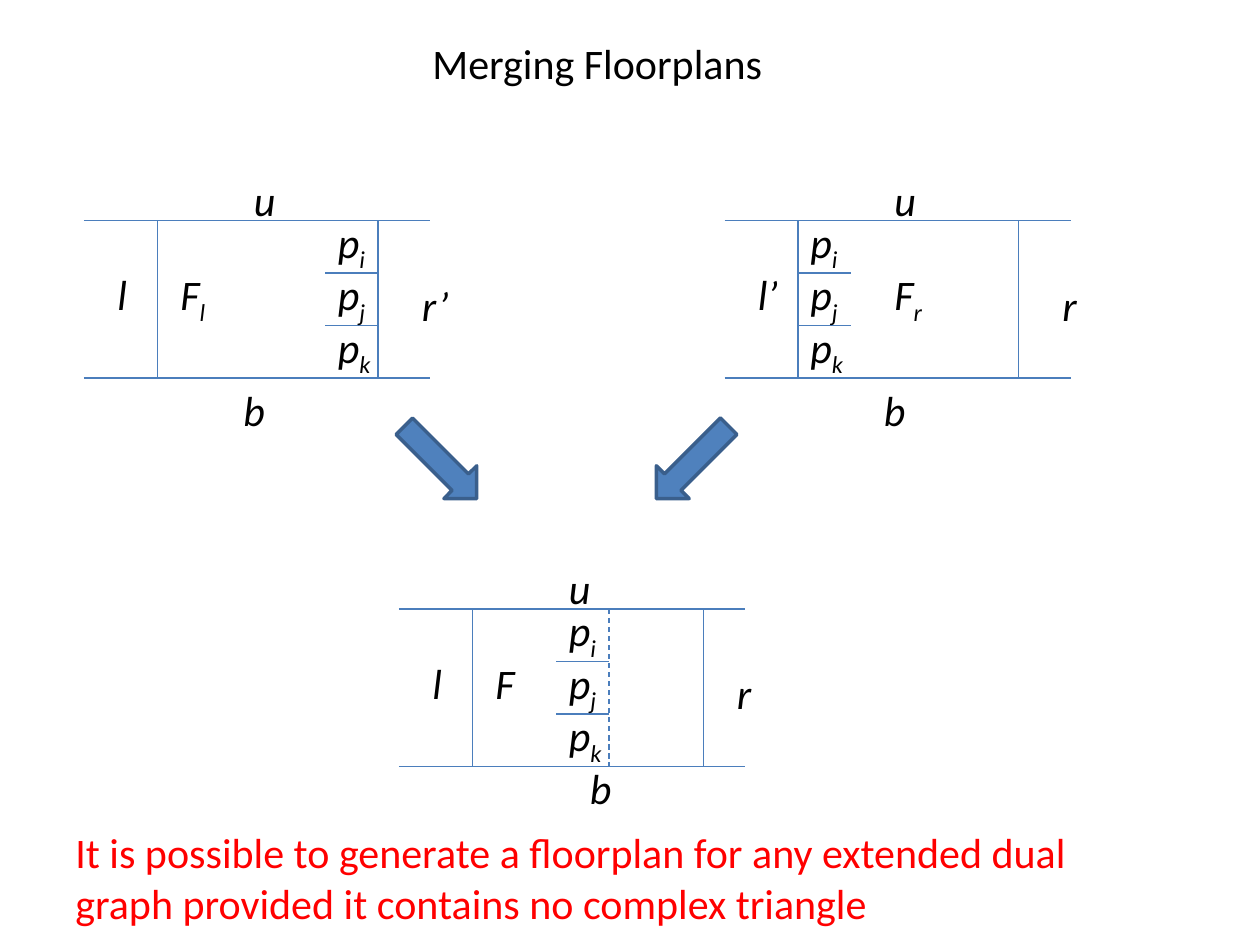
from dataclasses import dataclass

from lxml import etree
from pptx import Presentation
from pptx.dml.color import RGBColor
from pptx.enum.dml import MSO_LINE
from pptx.enum.shapes import MSO_CONNECTOR, MSO_SHAPE
from pptx.enum.text import MSO_AUTO_SIZE
from pptx.oxml.ns import qn
from pptx.util import Pt

STRAIGHT = MSO_CONNECTOR.STRAIGHT
DASH = MSO_LINE.DASH
DOWN_ARROW = MSO_SHAPE.DOWN_ARROW
FIT_TEXT = MSO_AUTO_SIZE.SHAPE_TO_FIT_TEXT


@dataclass(frozen=True)
class Theme:
    font: str = "Calibri"
    size: float = 24
    text: RGBColor = RGBColor(0, 0, 0)
    emphasis: RGBColor = RGBColor(0xFF, 0, 0)
    line: RGBColor = RGBColor(0x4B, 0x7E, 0xBC)
    arrow_fill: RGBColor = RGBColor(0x4F, 0x81, 0xBD)
    arrow_line: RGBColor = RGBColor(0x3A, 0x5F, 0x8C)
    line_width: float = 0.75
    arrow_line_width: float = 2


@dataclass(frozen=True)
class Floorplan:
    left: float
    top: float
    room: tuple
    room_left: float
    left_label: str
    right_label: str
    right_wall: float
    steps_left: float
    bottom_label: tuple
    seam: float | None = None


THEME = Theme()
RAIL_LENGTH = 198
PLAN_HEIGHT = 90
STEP = 30
LEFT_WALL = 42
LABEL_WIDTH = 42
LABEL_HEIGHT = 36

FLOORPLANS = (
    Floorplan(48, 126, ("F", "l"), 48, "l", "r’", 168, 138, (84, 90)),
    Floorplan(414, 126, ("F", "r"), 90, "l’", "r", 168, 42, (84, 90)),
    Floorplan(228, 348, ("F", ""), 48, "l", "r", 174, 90, (102, 84), seam=120),
)


def add_text(slide, left, top, width, height, text, subscript="",
             color=THEME.text, italic=False):
    box = slide.shapes.add_textbox(Pt(left), Pt(top), Pt(width), Pt(height))
    frame = box.text_frame
    frame.word_wrap = True
    frame.auto_size = FIT_TEXT
    paragraph = frame.paragraphs[0]
    paragraph.font.name = THEME.font
    paragraph.font.size = Pt(THEME.size)
    paragraph.font.color.rgb = color
    paragraph.font.italic = italic
    paragraph.add_run().text = text
    if subscript:
        run = paragraph.add_run()
        run.text = subscript
        run.font._element.set("baseline", "-25000")


def add_line(slide, x1, y1, x2, y2, dash=None):
    connector = slide.shapes.add_connector(STRAIGHT, Pt(x1), Pt(y1), Pt(x2), Pt(y2))
    connector.line.color.rgb = THEME.line
    connector.line.width = Pt(THEME.line_width)
    if dash:
        connector.line.dash_style = dash
    etree.SubElement(connector._element.spPr, qn("a:effectLst"))


def add_arrow(slide, left, rotation):
    shape = slide.shapes.add_shape(DOWN_ARROW, Pt(left), Pt(235), Pt(26.5), Pt(58.5))
    shape.shadow.inherit = False
    shape.rotation = rotation
    shape.fill.solid()
    shape.fill.fore_color.rgb = THEME.arrow_fill
    shape.line.color.rgb = THEME.arrow_line
    shape.line.width = Pt(THEME.arrow_line_width)


def add_floorplan(slide, plan):
    def label(x, y, text, subscript="", width=LABEL_WIDTH):
        add_text(slide, plan.left + x, plan.top + y, width, LABEL_HEIGHT,
                 text, subscript, italic=True)

    def line(x1, y1, x2, y2, dash=None):
        add_line(slide, plan.left + x1, plan.top + y1,
                 plan.left + x2, plan.top + y2, dash)

    for y in (0, PLAN_HEIGHT):
        line(0, y, RAIL_LENGTH, y)
    for x in (LEFT_WALL, plan.right_wall):
        line(x, 0, x, PLAN_HEIGHT)
    if plan.seam is not None:
        line(plan.seam, 0, plan.seam, PLAN_HEIGHT, DASH)
    for y in (STEP, 2 * STEP):
        line(plan.steps_left, y, plan.steps_left + STEP, y)

    label(90, -30, "u")
    label(*plan.bottom_label, "b")
    label(12, 24, plan.left_label)
    label(186, 30, plan.right_label)
    label(plan.room_left, 24, *plan.room, width=48)
    for index, subscript in enumerate("ijk"):
        label(plan.steps_left, index * STEP - 6, "p", subscript)


def main():
    presentation = Presentation()
    presentation.slide_width = Pt(720)
    presentation.slide_height = Pt(540)
    slide = presentation.slides.add_slide(presentation.slide_layouts[6])

    add_text(slide, 240, 18, 228, LABEL_HEIGHT, "Merging Floorplans")
    for plan in FLOORPLANS:
        add_floorplan(slide, plan)
    add_arrow(slide, 238.5, 315)
    add_arrow(slide, 382.5, 45)
    add_text(slide, 36, 469, 618, 65.5,
             "It is possible to generate a floorplan for any extended dual graph "
             "provided it contains no complex triangle", color=THEME.emphasis)
    presentation.save("out.pptx")


if __name__ == "__main__":
    main()
